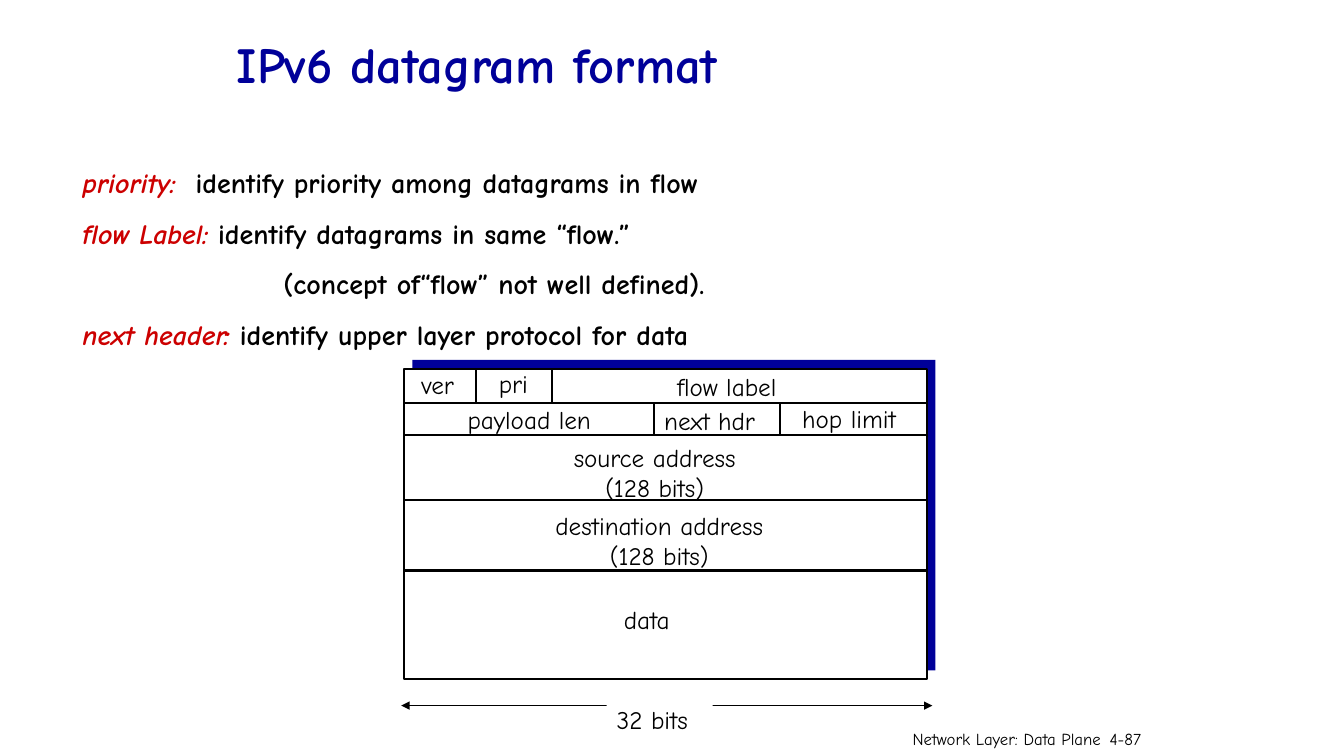
from lxml import etree
from pptx import Presentation
from pptx.dml.color import RGBColor
from pptx.enum.shapes import MSO_CONNECTOR, MSO_SHAPE
from pptx.enum.text import MSO_ANCHOR, MSO_AUTO_SIZE, PP_ALIGN
from pptx.oxml.ns import qn
from pptx.util import Pt

RECT = MSO_SHAPE.RECTANGLE
LINE = MSO_CONNECTOR.STRAIGHT
TOP, MIDDLE = MSO_ANCHOR.TOP, MSO_ANCHOR.MIDDLE
LEFT, CENTER, RIGHT = PP_ALIGN.LEFT, PP_ALIGN.CENTER, PP_ALIGN.RIGHT
FIT = MSO_AUTO_SIZE.SHAPE_TO_FIT_TEXT

NAVY = RGBColor(0x00, 0x00, 0x99)
RED = RGBColor(0xCC, 0x00, 0x00)
BLACK = RGBColor(0x00, 0x00, 0x00)
WHITE = RGBColor(0xFF, 0xFF, 0xFF)


class Board:
    """Draws on one slide in one font; all lengths are points."""

    font = "Comic Neue"

    def __init__(self, slide):
        self.shapes = slide.shapes

    def rect(self, x, y, w, h, fill, edge=None):
        box = self.shapes.add_shape(RECT, Pt(x), Pt(y), Pt(w), Pt(h))
        box.shadow.inherit = False
        box.fill.solid()
        box.fill.fore_color.rgb = fill
        if edge is None:
            box.line.fill.background()
        else:
            box.line.color.rgb = edge
            box.line.width = Pt(1.5)
        return box

    def line(self, x1, y1, x2, y2, width=1.5, arrows=False):
        rule = self.shapes.add_connector(LINE, Pt(x1), Pt(y1), Pt(x2), Pt(y2))
        rule.line.color.rgb = BLACK
        rule.line.width = Pt(width)
        if arrows:
            edge = rule._element.spPr.find(qn("a:ln"))
            for end in ("a:headEnd", "a:tailEnd"):
                etree.SubElement(edge, qn(end), type="triangle")
        etree.SubElement(rule._element.spPr, qn("a:effectLst"))

    def text(self, x, y, w, h, paras, **style):
        box = self.shapes.add_textbox(Pt(x), Pt(y), Pt(w), Pt(h))
        self.label(box, paras, **style)

    def label(self, box, paras, size=18, align=LEFT, space=1.0, wrap=False,
              fit=True, anchor=TOP):
        """Fill a box; each paragraph is an indent and (text, font format) runs."""
        frame = box.text_frame
        form = {"word_wrap": wrap, "vertical_anchor": anchor}
        if fit:
            form["auto_size"] = FIT
        for name, value in form.items():
            setattr(frame, name, value)
        for i, (indent, runs) in enumerate(paras):
            para = frame.add_paragraph() if i else frame.paragraphs[0]
            para.alignment = align
            para.line_spacing = space
            if indent:
                para._p.get_or_add_pPr().set("marL", str(Pt(indent)))
            for words, look in runs:
                run = para.add_run()
                run.text = words
                look = {"name": self.font, "size": Pt(size), "color": BLACK} | look
                run.font.color.rgb = look.pop("color")
                for name, value in look.items():
                    setattr(run.font, name, value)


def plain(*rows):
    """Turn rows of text into paragraphs with no indent and no font format."""
    return [(0, [(row, {})]) for row in rows]


def main():
    deck = Presentation()
    deck.slide_width, deck.slide_height = Pt(960), Pt(540)
    board = Board(deck.slides.add_slide(deck.slide_layouts[6]))

    wide, high = 373.7, 221.8
    left, top = 288.7, 263.5
    right = left + wide
    board.rect(left + 5.8, top - 6.5, wide, high, NAVY)

    board.text(162, 14.4, 612, 39.6,
               [(0, [("IPv6 datagram format", {"color": NAVY, "bold": True})])],
               size=36, space=1.5, wrap=True, fit=False, anchor=MIDDLE)

    term = {"color": RED, "bold": True, "italic": True}
    bold = {"bold": True}
    notes = [
        (0, [("priority:", term),
             ("  identify priority among datagrams in flow", bold)]),
        (0, [("flow Label:", term),
             (" identify datagrams in same “flow.”", bold)]),
        (143.5, [("(concept of“flow” not well defined).", bold)]),
        (0, [("next header:", term),
             (" identify upper layer protocol for data", bold)]),
    ]
    board.text(51.8, 103, 858.2, 148.3, notes, size=20, space=1.5, wrap=True)

    board.rect(left, top, wide, high, WHITE, BLACK)
    row1, row2 = 287.8, 311
    for y in (row1, row2, 357.1, 407.5):
        board.line(left, y, right, y)
    for x in (339.8, 394.6):
        board.line(x, top, x, row1)
    for x in (467.3, 557.3):
        board.line(x, row1, x, row2)

    fields = [
        ("data", 438.5, 428.4, 52.6),
        ("payload len", 326.9, 285.1, 107.3),
        ("next hdr", 467.3, 285.8, 88.6),
        ("hop limit", 565.9, 284.4, 87.8),
        ("flow label", 476.6, 261.4, 96.5),
        ("pri", 349.2, 259.9, 38.2),
        ("ver", 293.8, 260.6, 41.8),
    ]
    for name, x, y, w in fields:
        board.text(x, y, w, 28.8, plain(name))
    for name, x, y, w in (("destination address", 380.2, 360.7, 181.4),
                          ("source address", 396, 312.5, 143.3)):
        board.text(x, y, w, 51.1, plain(name, "(128 bits)"), align=CENTER)

    board.line(286.6, 504, 666, 504, width=0.75, arrows=True)
    gap = board.rect(433.4, 488.9, 75.6, 36.7, WHITE)
    board.label(gap, plain("32 bits"), space=1.5)

    foot = {"size": 12, "space": 1.5, "wrap": True, "fit": False}
    board.text(785.5, 509.8, 43.9, 21.6, plain("4-87"), **foot)
    board.text(622.1, 509.8, 171.4, 18.7, plain("Network Layer: Data Plane"),
               align=RIGHT, **foot)

    deck.save("out.pptx")


if __name__ == "__main__":
    main()
